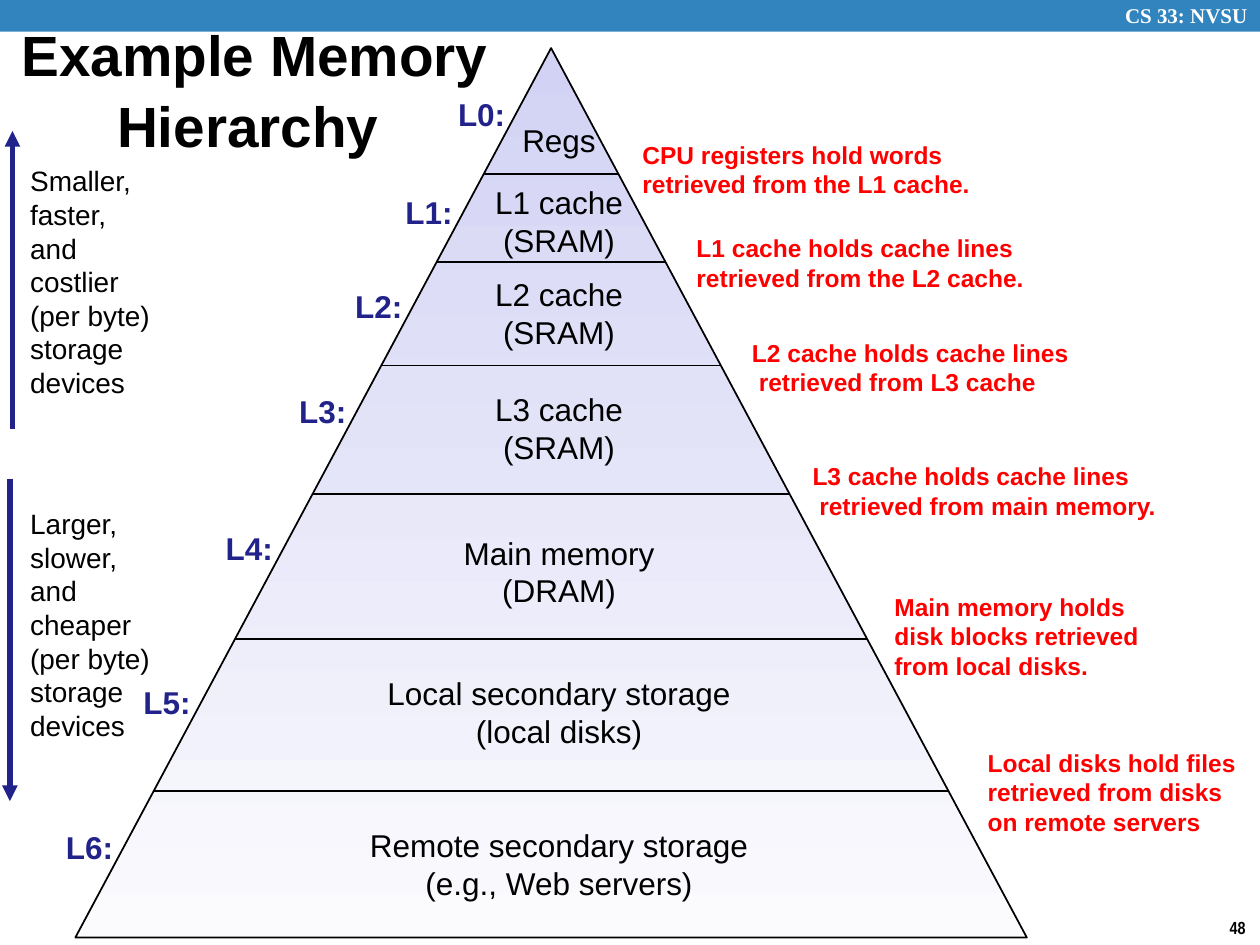
"""Build the memory hierarchy pyramid slide."""
from pptx import Presentation
from pptx.dml.color import RGBColor
from pptx.enum.shapes import MSO_CONNECTOR, MSO_SHAPE
from pptx.enum.text import MSO_ANCHOR, PP_ALIGN
from pptx.oxml.ns import qn
from pptx.util import Cm, Pt
from lxml.etree import SubElement

BLACK = RGBColor(0x00, 0x00, 0x00)
WHITE = RGBColor(0xFF, 0xFF, 0xFF)
NAVY = RGBColor(0x22, 0x22, 0x8B)
RED = RGBColor(0xFF, 0x00, 0x00)
BAR_BLUE = RGBColor(0x32, 0x84, 0xBF)
LAVENDER = RGBColor(0xD2, 0xD2, 0xF4)
PALE = RGBColor(0xFB, 0xFB, 0xFE)

TITLE = ["Example Memory", "Hierarchy"]
TITLE_INDENT = 1.93
PYRAMID_LEFT, PYRAMID_TOP, PYRAMID_WIDTH, PYRAMID_HEIGHT = 1.52, 0.97, 19.18, 17.93
APEX = PYRAMID_LEFT + PYRAMID_WIDTH / 2
CAPTION_CENTER = 11.27
LABEL_WIDTH, LABEL_HEIGHT, LABEL_OFFSET = 1.47, 1.02, 1.42

# (caption lines, caption width, caption middle, label middle)
LEVELS = [
    (["Regs"], 2.01, 2.82, 2.29),
    (["L1 cache", "(SRAM)"], 3.12, 4.46, 4.27),
    (["L2 cache", "(SRAM)"], 3.12, 6.31, 6.17),
    (["L3 cache", "(SRAM)"], 3.12, 8.62, 8.28),
    (["Main memory", "(DRAM)"], 4.39, 11.52, 11.05),
    (["Local secondary storage", "(local disks)"], 7.49, 14.36, 14.15),
    (["Remote secondary storage", "(e.g., Web servers)"], 8.2, 17.41, 17.07),
]
DIVIDERS = [3.51, 5.28, 7.37, 9.96, 12.88, 15.95]
NOTES = [
    (["CPU registers hold words retrieved from the L1 cache."], 12.7, 2.69, 8.1, 1.45),
    (["L1 cache holds cache lines retrieved from the L2 cache."], 13.79, 4.57, 7.87, 1.45),
    (["L2 cache holds cache lines", " retrieved from L3 cache"], 14.91, 6.68, 7.32, 1.45),
    (["L3 cache holds cache lines", " retrieved from main memory."], 16.13, 9.17, 8, 1.45),
    (["Main memory holds disk blocks retrieved from local disks."], 17.78, 11.79, 6.07, 2.06),
    (["Local disks hold files retrieved from disks", "on remote servers"],
     19.66, 14.94, 5.74, 2.06),
]
TRENDS = [
    (["Smaller,", "faster,", "and", "costlier", "(per byte)", "storage", "devices"], 3.15),
    (["Larger,", "slower,", "and", "cheaper", "(per byte)", "storage", "devices"], 10.06),
]
ARROWS = [(0.25, 8.64, 2.64), (0.2, 9.65, 16.15)]


def add_text(page, lines, left, top, width, height, size, color=BLACK, bold=False,
             font="Arial", align=PP_ALIGN.LEFT, anchor=MSO_ANCHOR.MIDDLE, wrap=False):
    box = page.shapes.add_textbox(Cm(left), Cm(top), Cm(width), Cm(height))
    frame = box.text_frame
    frame.word_wrap = wrap
    frame.vertical_anchor = anchor
    frame.text = "\n".join(lines)
    for para in frame.paragraphs:
        para.alignment = align
        for span in para.runs:
            span.font.name = font
            span.font.size = Pt(size)
            span.font.bold = bold
            span.font.color.rgb = color
    return box


def add_line(page, start_x, start_y, end_x, end_y, color, width):
    line = page.shapes.add_connector(
        MSO_CONNECTOR.STRAIGHT, Cm(start_x), Cm(start_y), Cm(end_x), Cm(end_y))
    line.line.color.rgb = color
    line.line.width = Pt(width)
    SubElement(line._element.spPr, qn("a:effectLst"))
    return line


def half_width(y):
    return PYRAMID_WIDTH / 2 * (y - PYRAMID_TOP) / PYRAMID_HEIGHT


def add_header(page):
    bar = page.shapes.add_shape(MSO_SHAPE.RECTANGLE, 0, 0, Cm(25.4), Cm(0.64))
    bar.shadow.inherit = False
    bar.fill.solid()
    bar.fill.fore_color.rgb = BAR_BLUE
    bar.line.fill.background()
    add_text(page, ["CS 33: NVSU"], 22.43, -0.08, 3.15, 0.76, 12, WHITE, True,
             "Times New Roman", anchor=MSO_ANCHOR.TOP, wrap=True)
    add_text(page, ["48"], 24.54, 18.36, 0.86, 0.69, 10, BLACK, True,
             "Arial Narrow", anchor=MSO_ANCHOR.TOP)
    title = add_text(page, TITLE, 0.18, 0.69, 24.21, 2.18, 32.4, bold=True, wrap=True)
    for para in title.text_frame.paragraphs:
        para.line_spacing = 1.04
    para._p.get_or_add_pPr().set("marL", str(Cm(TITLE_INDENT)))


def add_pyramid(page):
    pyramid = page.shapes.add_shape(
        MSO_SHAPE.ISOSCELES_TRIANGLE, Cm(PYRAMID_LEFT), Cm(PYRAMID_TOP),
        Cm(PYRAMID_WIDTH), Cm(PYRAMID_HEIGHT))
    pyramid.shadow.inherit = False
    pyramid.fill.gradient()
    pyramid.fill.gradient_angle = 270
    for stop, color in zip(pyramid.fill.gradient_stops, (LAVENDER, PALE)):
        stop.color.rgb = color
    pyramid.line.color.rgb = BLACK
    pyramid.line.width = Pt(1)

    for y in DIVIDERS:
        add_line(page, APEX - half_width(y), y, APEX + half_width(y), y, BLACK, 1)
    for number, (lines, width, middle, label_middle) in enumerate(LEVELS):
        height = 0.24 + 0.78 * len(lines)
        add_text(page, lines, CAPTION_CENTER - width / 2, middle - height / 2,
                 width, height, 18, align=PP_ALIGN.CENTER)
        add_text(page, [f"L{number}:"], APEX - half_width(label_middle) - LABEL_OFFSET,
                 label_middle - LABEL_HEIGHT / 2, LABEL_WIDTH, LABEL_HEIGHT, 18, NAVY, True)


def main():
    deck = Presentation()
    deck.slide_width, deck.slide_height = Cm(25.4), Cm(19.05)
    page = deck.slides.add_slide(deck.slide_layouts[6])
    add_header(page)
    add_pyramid(page)
    for lines, left, top, width, height in NOTES:
        add_text(page, lines, left, top, width, height, 14, RED, True, wrap=True)
    for lines, top in TRENDS:
        add_text(page, lines, 0.36, top, 2.95, 5.05, 16)
    for x, start, end in ARROWS:
        arrow = add_line(page, x, start, x, end, NAVY, 3)
        SubElement(arrow.line._get_or_add_ln(), qn("a:tailEnd"), type="triangle")
    deck.save("out.pptx")


if __name__ == "__main__":
    main()
